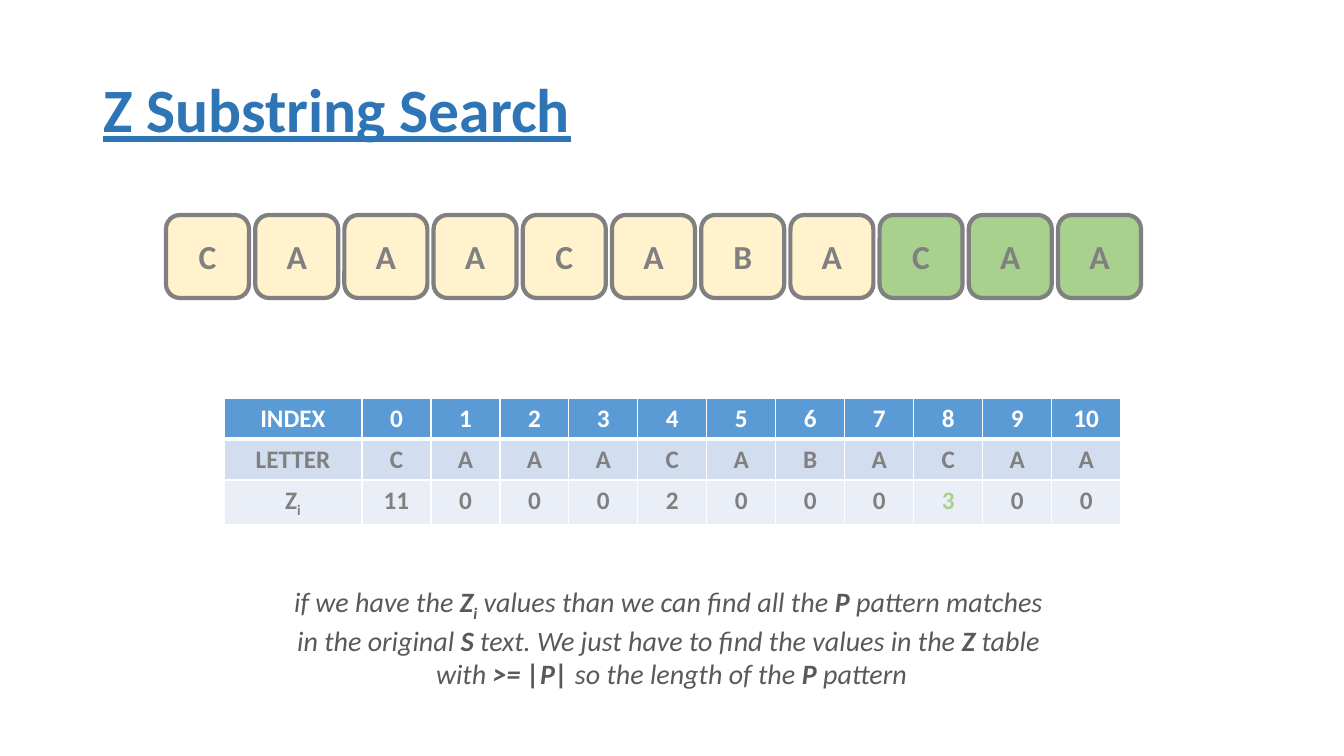
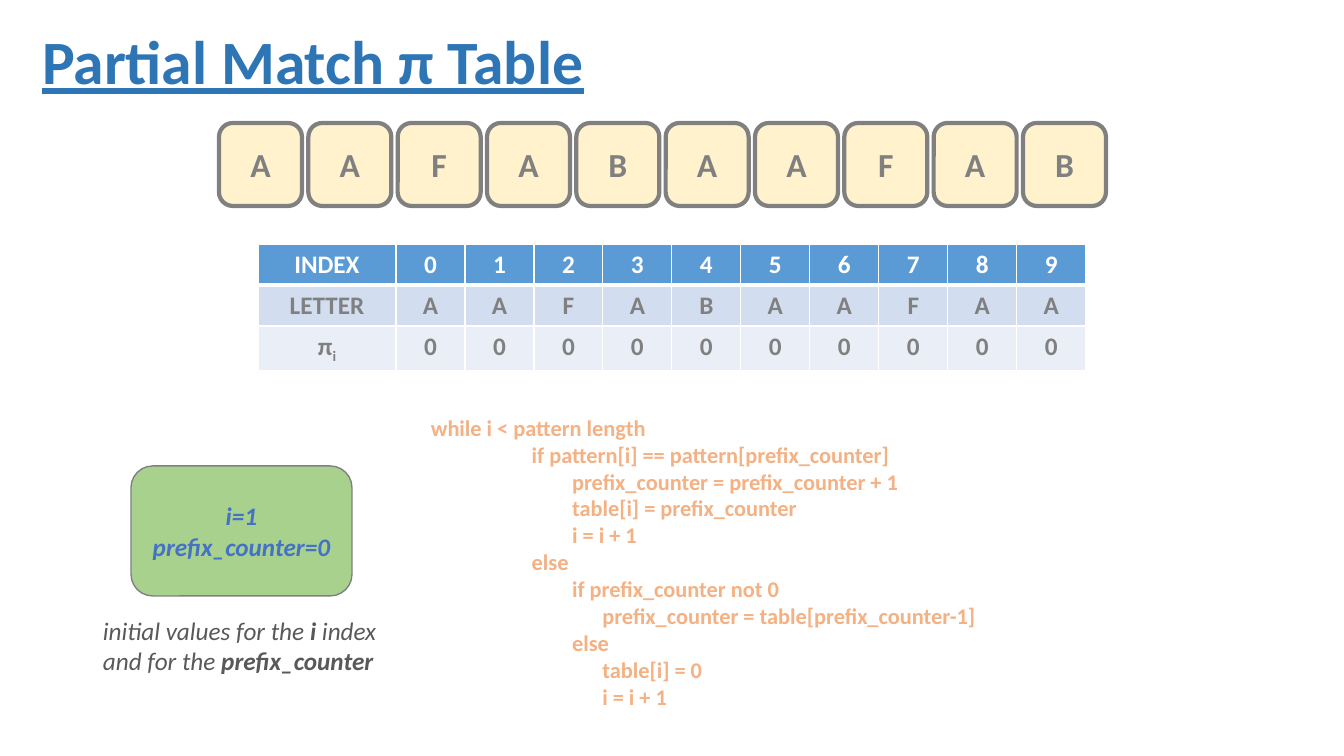
from dataclasses import dataclass

from lxml import etree
from pptx import Presentation
from pptx.dml.color import RGBColor
from pptx.enum.shapes import MSO_SHAPE
from pptx.enum.text import MSO_ANCHOR, MSO_AUTO_SIZE, PP_ALIGN
from pptx.oxml.ns import qn
from pptx.util import Pt

ROUNDED = MSO_SHAPE.ROUNDED_RECTANGLE
MIDDLE = MSO_ANCHOR.MIDDLE
TOP = MSO_ANCHOR.TOP
LEFT = PP_ALIGN.LEFT
CENTER = PP_ALIGN.CENTER
NO_FIT = MSO_AUTO_SIZE.NONE
TITLE_ONLY = 5
EMU_PER_PX = 914400 / 100.8
SLIDE_SIZE = (1344, 756)
TITLE_SIZE = (1159, 146)
TILE_SIDE = 83
LABEL_COLUMN, VALUE_COLUMN, ROW_HEIGHT = 138, 69, 41
CODE_INDENTS = (0, 20, 28, 34)


@dataclass(frozen=True)
class Theme:
    font: str = "Calibri"
    title: str = "2E75B6"
    grey: str = "808080"
    caption: str = "595959"
    code: str = "F4B183"
    state: str = "4472C4"
    white: str = "FFFFFF"
    cream: str = "FFF2CC"
    green: str = "A9D18E"
    header: str = "5B9BD5"
    bands: tuple = ("D2DEEF", "EAEFF7")
    title_size: int = 44
    tile_size: int = 24
    caption_size: int = 20
    body_size: int = 18
    code_size: int = 16


THEME = Theme()


def px(length):
    return round(length * EMU_PER_PX)


def emu_box(box):
    return [px(length) for length in box]


def add_run(paragraph, text, size, color, style=""):
    run = paragraph.add_run()
    run.text = text
    font = run.font
    font.name = THEME.font
    font.size = Pt(size)
    font.bold = "b" in style
    font.italic = "i" in style
    font.underline = "u" in style
    font.color.rgb = RGBColor.from_string(color)
    if "s" in style:
        run._r.get_or_add_rPr().set("baseline", "-25000")


def write_lines(frame, lines, size, color, style="", align=LEFT, anchor=TOP):
    frame.word_wrap = True
    frame.auto_size = NO_FIT
    frame.vertical_anchor = anchor
    for index, line in enumerate(lines):
        paragraph = frame.add_paragraph() if index else frame.paragraphs[0]
        paragraph.alignment = align
        for text, extra in line:
            add_run(paragraph, text, size, color, style + extra)


def add_titled_slide(presentation, title, left, top):
    slide = presentation.slides.add_slide(presentation.slide_layouts[TITLE_ONLY])
    shape = slide.shapes.title
    shape.left, shape.top, shape.width, shape.height = emu_box((left, top, *TITLE_SIZE))
    write_lines(shape.text_frame, [[(title, "bu")]], THEME.title_size,
                THEME.title, anchor=MIDDLE)
    shape.text_frame.paragraphs[0].line_spacing = 0.9
    return slide


def add_panel(slide, box, fill, line_width, lines, size, color, style):
    shape = slide.shapes.add_shape(ROUNDED, *emu_box(box))
    shape.shadow.inherit = False
    shape.fill.solid()
    shape.fill.fore_color.rgb = RGBColor.from_string(fill)
    shape.line.color.rgb = RGBColor.from_string(THEME.grey)
    shape.line.width = Pt(line_width)
    write_lines(shape.text_frame, lines, size, color, style, CENTER, MIDDLE)


def add_letter_tiles(slide, left, top, width, letters, matched=()):
    pitch = (width - TILE_SIDE) / (len(letters) - 1)
    for index, letter in enumerate(letters):
        box = (left + index * pitch, top, TILE_SIDE, TILE_SIDE)
        fill = THEME.green if index in matched else THEME.cream
        add_panel(slide, box, fill, 3, [[(letter, "")]], THEME.tile_size, THEME.grey, "b")


def set_borders(cell, top_width, bottom_width):
    properties = cell._tc.get_or_add_tcPr()
    for tag, width in (("a:lnL", 1), ("a:lnR", 1), ("a:lnT", top_width), ("a:lnB", bottom_width)):
        line = etree.SubElement(properties, qn(tag), w=str(Pt(width)))
        fill = etree.SubElement(line, qn("a:solidFill"))
        etree.SubElement(fill, qn("a:srgbClr"), val=THEME.white)


def add_index_table(slide, left, top, symbol, letters, values, highlighted=()):
    rows = (
        ["INDEX", *map(str, range(len(letters)))],
        ["LETTER", *letters],
        [symbol, *map(str, values)],
    )
    fills = (THEME.header, *THEME.bands)
    width = LABEL_COLUMN + VALUE_COLUMN * len(letters)
    box = emu_box((left, top, width, ROW_HEIGHT * len(rows)))
    table = slide.shapes.add_table(len(rows), len(rows[0]), *box).table
    for index, column in enumerate(table.columns):
        column.width = px(VALUE_COLUMN if index else LABEL_COLUMN)
    for row_index, row in enumerate(rows):
        table.rows[row_index].height = px(ROW_HEIGHT)
        for column_index, text in enumerate(row):
            cell = table.cell(row_index, column_index)
            set_borders(cell, 3 if row_index == 1 else 1, 1 if row_index else 3)
            cell.fill.solid()
            cell.fill.fore_color.rgb = RGBColor.from_string(fills[row_index])
            color = THEME.grey if row_index else THEME.white
            if row_index == 2 and column_index - 1 in highlighted:
                color = THEME.green
            paragraph = cell.text_frame.paragraphs[0]
            paragraph.alignment = CENTER
            add_run(paragraph, text, THEME.body_size, color, "b")
            if text == symbol:
                add_run(paragraph, "i", THEME.body_size, color, "bs")


def add_caption(slide, box, lines, size, align=LEFT):
    shape = slide.shapes.add_textbox(*emu_box(box))
    write_lines(shape.text_frame, lines, size, THEME.caption, "i", align)


def add_code(slide, box, code):
    shape = slide.shapes.add_textbox(*emu_box(box))
    lines = [[(" " * CODE_INDENTS[depth] + text, "")] for depth, text in code]
    write_lines(shape.text_frame, lines, THEME.code_size, THEME.code, "b")


def build_substring_search(presentation):
    slide = add_titled_slide(presentation, "Z Substring Search", 93, 40)
    letters = "CAAACABACAA"
    add_letter_tiles(slide, 166, 215, 975, letters, matched=(8, 9, 10))
    add_index_table(slide, 224, 398, "Z", letters,
                    (11, 0, 0, 0, 2, 0, 0, 0, 3, 0, 0), highlighted=(8,))
    add_caption(slide, (281, 580, 781, 112), [
        [("if we have the ", ""), ("Z", "b"), ("i", "bs"),
         (" values than we can find all the ", ""), ("P", "b"), (" pattern matches ", "")],
        [("in the original ", ""), ("S", "b"),
         (" text. We just have to find the values in the ", ""), ("Z", "b"), (" table ", "")],
        [("with ", ""), (">= |P| ", "b"), ("so the length of the ", ""),
         ("P", "b"), (" pattern", "")],
    ], THEME.caption_size, CENTER)


def build_partial_match(presentation):
    slide = add_titled_slide(presentation, "Partial Match π Table", 32, -8)
    add_letter_tiles(slide, 219, 123, 887, "AAFABAAFAB")
    add_index_table(slide, 258, 244, "π", "AAFABAAFAA", [0] * 10)
    add_code(slide, (421, 409, 574, 336), [
        (0, "while i < pattern length"),
        (1, "if pattern[i] == pattern[prefix_counter]"),
        (2, "prefix_counter = prefix_counter + 1"),
        (2, "table[i] = prefix_counter"),
        (2, "i = i + 1"),
        (1, "else"),
        (2, "if prefix_counter not 0"),
        (3, "prefix_counter = table[prefix_counter-1]"),
        (2, "else"),
        (3, "table[i] = 0"),
        (3, "i = i + 1"),
    ])
    add_panel(slide, (131, 466, 221, 130), THEME.green, 1,
              [[("i=1", "")], [("prefix_counter=0", "")]], THEME.body_size, THEME.state, "bi")
    add_caption(slide, (93, 610, 298, 72), [
        [("initial values for the ", ""), ("i", "b"), (" index", "")],
        [("and for the ", ""), ("prefix_counter", "b")],
    ], THEME.body_size)


def main():
    presentation = Presentation()
    presentation.slide_width, presentation.slide_height = emu_box(SLIDE_SIZE)
    build_substring_search(presentation)
    build_partial_match(presentation)
    presentation.save("out.pptx")


if __name__ == "__main__":
    main()
